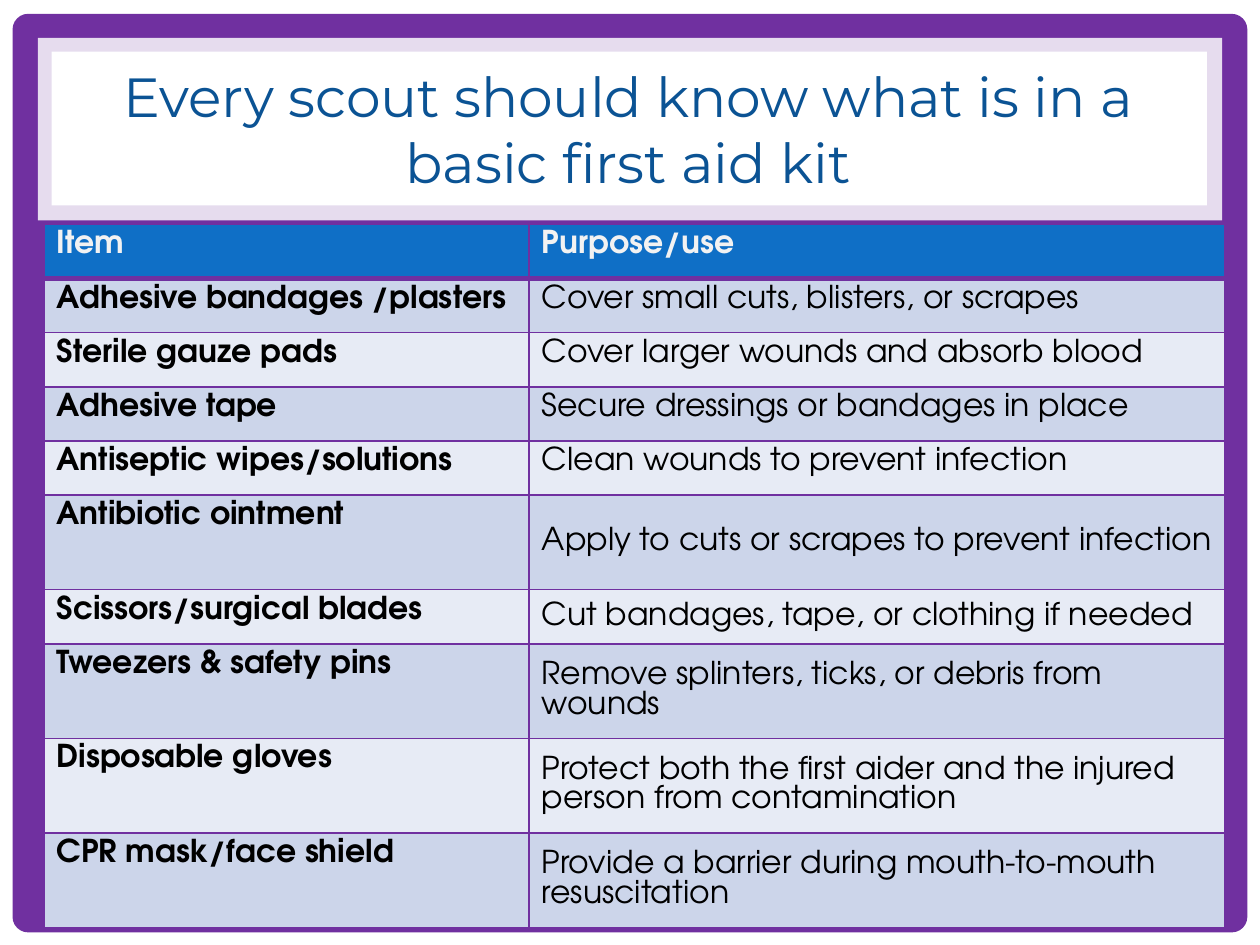
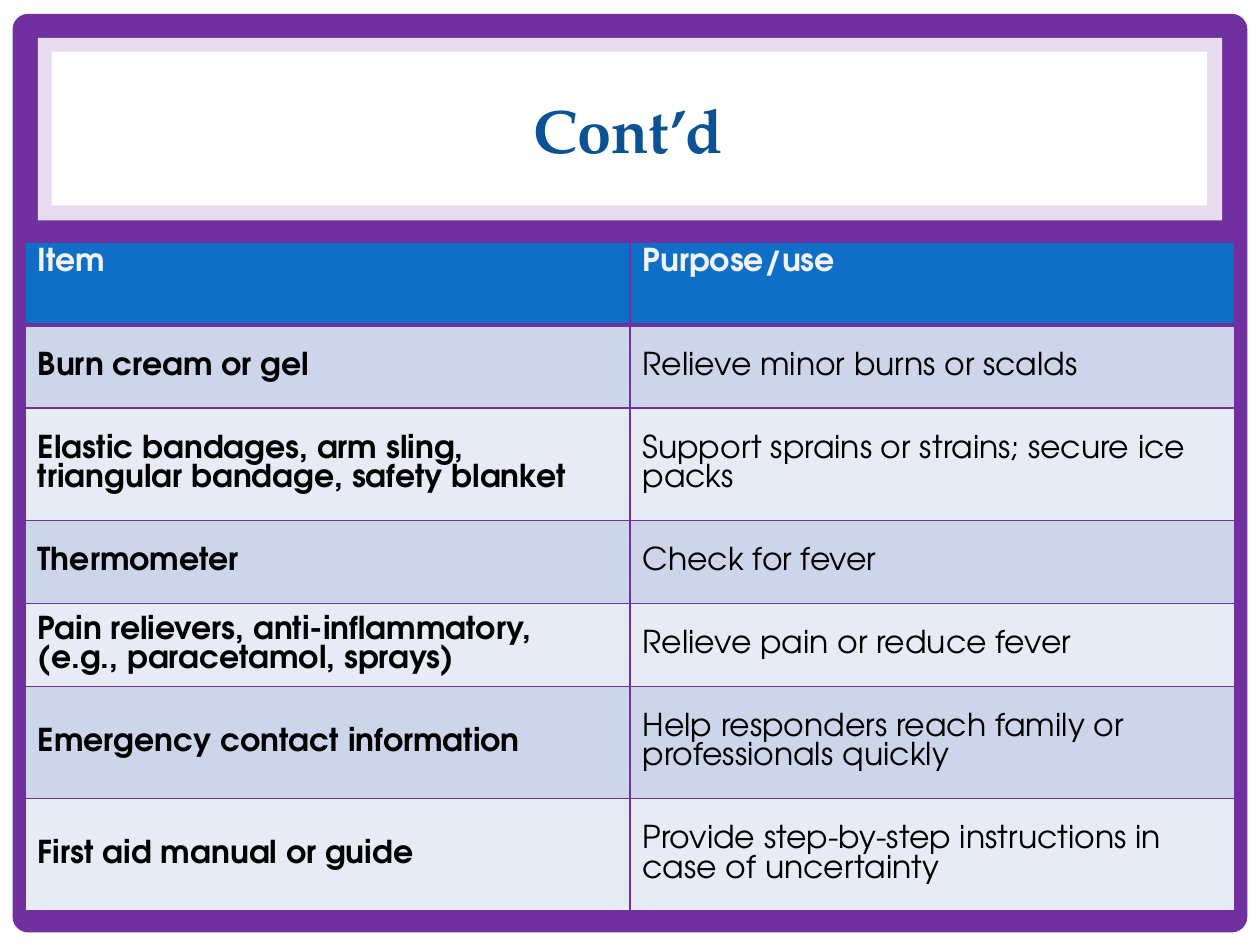
from dataclasses import dataclass

from lxml.etree import SubElement
from pptx import Presentation
from pptx.dml.color import RGBColor
from pptx.enum.shapes import MSO_SHAPE as Preset
from pptx.enum.text import MSO_ANCHOR as Anchor, MSO_AUTO_SIZE as AutoSize, PP_ALIGN as Align
from pptx.oxml.ns import qn
from pptx.util import Inches, Pt


@dataclass(frozen=True)
class Theme:
    purple: str = "7030A0"
    white: str = "FFFFFF"
    title_blue: str = "0B5394"
    header_blue: str = "0F6FC6"
    header_text: str = "F2F2F2"
    body_text: str = "000000"
    bands: tuple = ("CCD5EA", "E7EBF5")
    table_font: str = "TeX Gyre Adventor"
    table_size: float = 18
    border: float = 1
    header_border: float = 3


class Deck:
    def __init__(self, theme):
        self.theme = theme
        self.presentation = Presentation()
        self.presentation.slide_width = Inches(10)
        self.presentation.slide_height = Inches(7.5)
        self.slide = None

    def add_slide(self):
        theme = self.theme
        self.slide = self.presentation.slides.add_slide(self.presentation.slide_layouts[5])
        background = self.slide.background.fill
        background.solid()
        background.fore_color.rgb = RGBColor.from_string(theme.purple)
        self.panel(0, 0, 10, 7.5, theme.white)
        frame = self.panel(0.1, 0.11, 9.8, 7.29, theme.purple, Preset.ROUNDED_RECTANGLE)
        frame.adjustments[0] = 0.017
        self.panel(0.3, 0.3, 9.4, 1.45, theme.white, opacity=83)
        self.panel(0.41, 0.41, 9.17, 1.22, theme.white)

    def panel(self, left, top, width, height, color, preset=Preset.RECTANGLE, opacity=100):
        shape = self.slide.shapes.add_shape(
            preset, Inches(left), Inches(top), Inches(width), Inches(height))
        shape.shadow.inherit = False
        shape.fill.solid()
        shape.fill.fore_color.rgb = RGBColor.from_string(color)
        shape.line.fill.background()
        if opacity < 100:
            fill_color = shape._element.spPr.find(qn("a:solidFill"))[0]
            SubElement(fill_color, qn("a:alpha"), val=str(opacity * 1000))
        return shape

    def run(self, paragraph, text, font, size, color, bold):
        run = paragraph.add_run()
        run.text = text
        run.font.name = font
        run.font.size = Pt(size)
        run.font.bold = bold
        run.font.color.rgb = RGBColor.from_string(color)

    def title(self, text, font, size, bold=False):
        title = self.slide.shapes.title
        title.left, title.top = Inches(0.47), Inches(0.45)
        title.width, title.height = Inches(9.03), Inches(1.14)
        self.slide.shapes._spTree.append(title._element)
        frame = title.text_frame
        frame.word_wrap = True
        frame.auto_size = AutoSize.NONE
        frame.vertical_anchor = Anchor.MIDDLE
        paragraph = frame.paragraphs[0]
        paragraph.alignment = Align.CENTER
        self.run(paragraph, text, font, size, self.theme.title_blue, bold)

    def borders(self, cell, top, bottom):
        properties = cell._tc.get_or_add_tcPr()
        thin = self.theme.border
        for side, width in (("L", thin), ("R", thin), ("T", top), ("B", bottom)):
            line = SubElement(properties, qn(f"a:ln{side}"), w=str(Pt(width)))
            fill = SubElement(line, qn("a:solidFill"))
            SubElement(fill, qn("a:srgbClr"), val=self.theme.purple)

    def cell(self, cell, text, row, column, anchor):
        theme = self.theme
        header = row == 0
        self.borders(cell,
                     theme.header_border if row == 1 else theme.border,
                     theme.header_border if header else theme.border)
        cell.fill.solid()
        fill = theme.header_blue if header else theme.bands[(row - 1) % 2]
        cell.fill.fore_color.rgb = RGBColor.from_string(fill)
        cell.vertical_anchor = anchor
        self.run(cell.text_frame.paragraphs[0], text, theme.table_font, theme.table_size,
                 theme.header_text if header else theme.body_text, header or column == 0)

    def table(self, left, top, widths, heights, items, middle_from):
        rows = [("Item", "Purpose/use"), *items]
        table = self.slide.shapes.add_table(
            len(rows), len(widths), Inches(left), Inches(top),
            Inches(sum(widths)), Inches(sum(heights))).table
        table.horz_banding = False
        for column, width in zip(table.columns, widths):
            column.width = Inches(width)
        for table_row, height in zip(table.rows, heights):
            table_row.height = Inches(height)
        for row, texts in enumerate(rows):
            for column, text in enumerate(texts):
                anchor = Anchor.MIDDLE if row >= middle_from[column] else Anchor.TOP
                self.cell(table.cell(row, column), text, row, column, anchor)


BASIC_ITEMS = [
    ("Adhesive bandages /plasters", "Cover small cuts, blisters, or scrapes"),
    ("Sterile gauze pads", "Cover larger wounds and absorb blood"),
    ("Adhesive tape", "Secure dressings or bandages in place"),
    ("Antiseptic wipes/solutions", "Clean wounds to prevent infection"),
    ("Antibiotic ointment", "Apply to cuts or scrapes to prevent infection"),
    ("Scissors/surgical blades", "Cut bandages, tape, or clothing if needed"),
    ("Tweezers & safety pins", "Remove splinters, ticks, or debris from wounds"),
    ("Disposable gloves",
     "Protect both the first aider and the injured person from contamination"),
    ("CPR mask/face shield", "Provide a barrier during mouth-to-mouth resuscitation"),
]

FURTHER_ITEMS = [
    ("Burn cream or gel", "Relieve minor burns or scalds"),
    ("Elastic bandages, arm sling, triangular bandage, safety blanket",
     "Support sprains or strains; secure ice packs"),
    ("Thermometer", "Check for fever"),
    ("Pain relievers, anti-inflammatory, (e.g., paracetamol, sprays)",
     "Relieve pain or reduce fever"),
    ("Emergency contact information", "Help responders reach family or professionals quickly"),
    ("First aid manual or guide", "Provide step-by-step instructions in case of uncertainty"),
]


def main():
    deck = Deck(Theme())

    deck.add_slide()
    deck.title("Every scout should know what is in a basic first aid kit", "Montserrat", 31.5)
    short, tall = 0.43, 0.75
    deck.table(0.35, 1.78, (3.85, 5.52), [short] * 5 + [tall, short] + [tall] * 3,
               BASIC_ITEMS, middle_from=(len(BASIC_ITEMS) + 1, 5))

    deck.add_slide()
    deck.title("Cont’d", "TeX Gyre Pagella", 35, bold=True)
    short, tall = 0.66, 0.89
    deck.table(0.2, 1.92, (4.8, 4.8), [short, short, tall, short, short, tall, tall],
               FURTHER_ITEMS, middle_from=(1, 1))

    deck.presentation.save("out.pptx")


if __name__ == "__main__":
    main()
